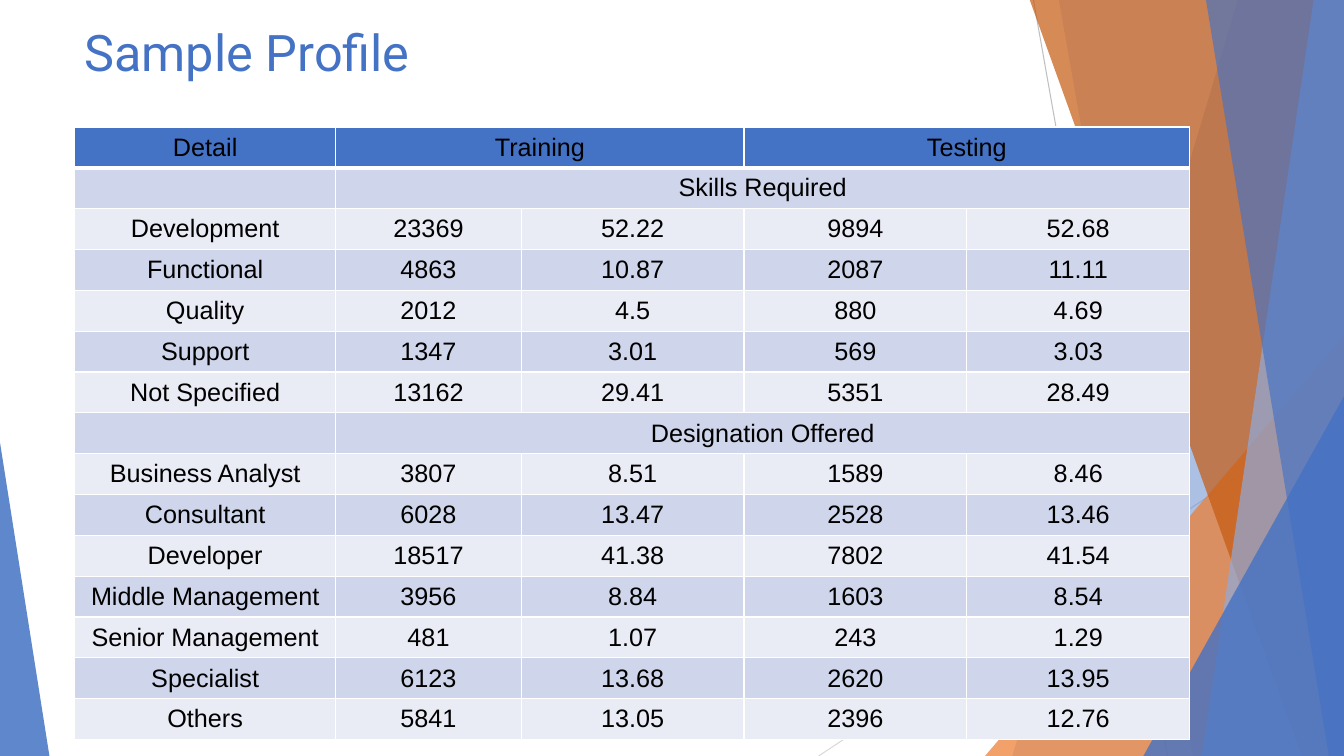
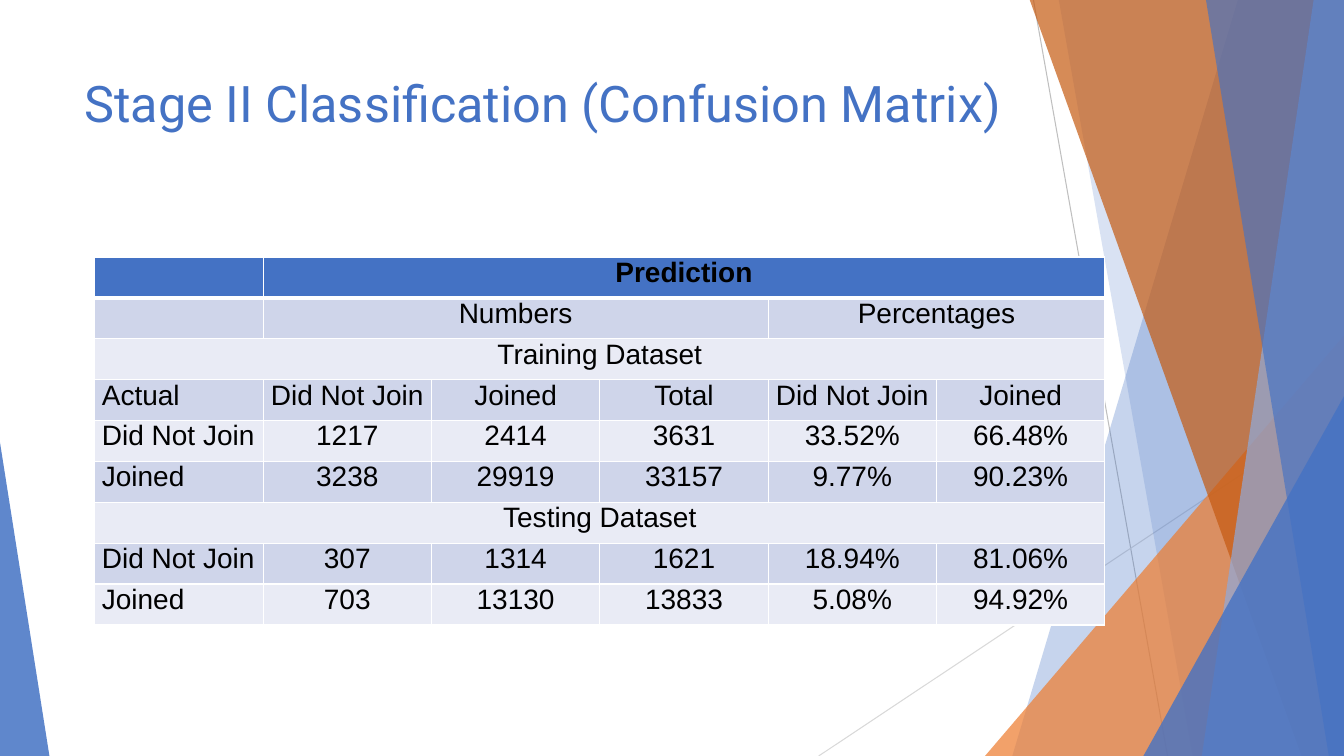
import pptx
import pptx.util
import pptx.dml.color
import pptx.enum.shapes
import pptx.enum.text
import pptx.oxml
import pptx.oxml.ns
import lxml.etree

Inches, Pt = pptx.util.Inches, pptx.util.Pt
RGB = pptx.dml.color.RGBColor.from_string
qn = pptx.oxml.ns.qn
SHAPES = pptx.enum.shapes.MSO_SHAPE
ALIGN = pptx.enum.text.PP_ALIGN
ANCHOR = pptx.enum.text.MSO_ANCHOR

colours = {
    "blue": "4472C4", "light blue": "8FAADC", "orange": "ED7D31", "rust": "C55A11",
    "dark band": "CFD5EA", "light band": "E9EBF5", "white": "FFFFFF", "black": "000000",
    "grey": "BFBFBF", "pale grey": "D9D9D9",
}
WIDTH, HEIGHT = 13.33, 7.5

# Backdrop: thin lines, then translucent facets from back to front
lines = [(10.25, 0, 11.58, HEIGHT, "grey"), (WIDTH, 4.03, 8.12, HEIGHT, "pale grey")]
# band: top x, bottom x; triangle: left, top, width, apex position
facets = [
    ("band", (12.28, 10.04), "blue", 30),
    ("band", (10.5, 11.83), "blue", 20),
    ("triangle", (9.77, 3.33, 3.56, 1), "orange", 72),
    ("band", (10.21, 12.91), "rust", 70),
    ("band", (13.03, 11.92), "light blue", 70),
    ("band", (11.96, 13.18), "blue", 65),
    ("triangle", (11.34, 3.93, 1.99, 1), "blue", 80),
    ("triangle", (0, 4.39, 0.49, 0), "blue", 85),
]

# Slide contents: None continues the cell to its left
profile_rows = [
    ["Detail", "Training", None, "Testing", None],
    ["", "Skills Required", None, None, None],
    ["Development", "23369", "52.22", "9894", "52.68"],
    ["Functional", "4863", "10.87", "2087", "11.11"],
    ["Quality", "2012", "4.5", "880", "4.69"],
    ["Support", "1347", "3.01", "569", "3.03"],
    ["Not Specified", "13162", "29.41", "5351", "28.49"],
    ["", "Designation Offered", None, None, None],
    ["Business Analyst", "3807", "8.51", "1589", "8.46"],
    ["Consultant", "6028", "13.47", "2528", "13.46"],
    ["Developer", "18517", "41.38", "7802", "41.54"],
    ["Middle Management", "3956", "8.84", "1603", "8.54"],
    ["Senior Management", "481", "1.07", "243", "1.29"],
    ["Specialist", "6123", "13.68", "2620", "13.95"],
    ["Others", "5841", "13.05", "2396", "12.76"],
]
matrix_rows = [
    ["", "Prediction", None, None, None, None],
    ["", "Numbers", None, None, "Percentages", None],
    ["Training Dataset", None, None, None, None, None],
    ["Actual", "Did Not Join", "Joined", "Total", "Did Not Join", "Joined"],
    ["Did Not Join", "1217", "2414", "3631", "33.52%", "66.48%"],
    ["Joined", "3238", "29919", "33157", "9.77%", "90.23%"],
    ["Testing Dataset", None, None, None, None, None],
    ["Did Not Join", "307", "1314", "1621", "18.94%", "81.06%"],
    ["Joined", "703", "13130", "13833", "5.08%", "94.92%"],
]
slides = [
    {"title": "Sample Profile", "title_top": 0.16, "title_height": 0.94,
     "rows": profile_rows, "left": 0.74, "top": 1.26, "height": 6.08,
     "columns": [2.59, 1.84, 2.21, 2.21, 2.21], "size": 18, "margin": 0.01,
     "anchor": ANCHOR.MIDDLE, "bold_header": False, "first_column": ALIGN.CENTER},
    {"title": "Stage II Classification (Confusion Matrix)", "title_top": 0.67,
     "title_height": 1.44, "rows": matrix_rows, "left": 0.94, "top": 2.55, "height": 3.65,
     "columns": [1.67] * 6, "size": 20, "margin": 0.07,
     "anchor": ANCHOR.TOP, "bold_header": True, "first_column": ALIGN.LEFT},
]


def draw_backdrop(page):
    for x1, y1, x2, y2, colour in lines:
        line = page.shapes.add_connector(pptx.enum.shapes.MSO_CONNECTOR.STRAIGHT,
                                         Inches(x1), Inches(y1), Inches(x2), Inches(y2))
        line.line.color.rgb = RGB(colours[colour])
        line.line.width = Pt(0.75)
        lxml.etree.SubElement(line.element.spPr, qn("a:effectLst"))
    for kind, geometry, colour, opacity in facets:
        if kind == "band":
            top_x, bottom_x = geometry
            corners = [(WIDTH, -0.01), (WIDTH, HEIGHT), (bottom_x, HEIGHT)]
            outline = page.shapes.build_freeform(Inches(top_x), Inches(-0.01))
            outline.add_line_segments([(Inches(x), Inches(y)) for x, y in corners])
            facet = outline.convert_to_shape()
        else:
            left, top, width, apex = geometry
            facet = page.shapes.add_shape(SHAPES.ISOSCELES_TRIANGLE, Inches(left), Inches(top),
                                          Inches(width), Inches(HEIGHT - top))
            facet.adjustments[0] = apex
        facet.shadow.inherit = False
        facet.line.fill.background()
        facet.fill.solid()
        facet.fill.fore_color.rgb = RGB(colours[colour])
        tint = facet.element.spPr.find(qn("a:solidFill")).find(qn("a:srgbClr"))
        lxml.etree.SubElement(tint, qn("a:alpha"), val=str(opacity * 1000))


def style_cell(cell, row):
    # Borders come before the fill; the header has a thick rule below it
    properties = cell._tc.get_or_add_tcPr()
    for side in ("L", "R", "T", "B"):
        thick = (row, side) in ((0, "B"), (1, "T"))
        border = lxml.etree.SubElement(properties, qn("a:ln" + side),
                                       w=str(Pt(3 if thick else 1)))
        paint = lxml.etree.SubElement(border, qn("a:solidFill"))
        lxml.etree.SubElement(paint, qn("a:srgbClr"), val=colours["white"])
    band = "blue" if row == 0 else "dark band" if row % 2 else "light band"
    cell.fill.solid()
    cell.fill.fore_color.rgb = RGB(colours[band])


deck = pptx.Presentation()
deck.slide_width, deck.slide_height = Inches(WIDTH), Inches(HEIGHT)

for content in slides:
    page = deck.slides.add_slide(deck.slide_layouts[6])
    draw_backdrop(page)

    # Title
    box = page.shapes.add_textbox(Inches(0.74), Inches(content["title_top"]),
                                  Inches(9.4), Inches(content["title_height"]))
    box.text_frame.word_wrap = True
    para = box.text_frame.paragraphs[0]
    para.text = content["title"]
    para.font.name, para.font.size = "Roboto", Pt(36)
    para.font.color.rgb = RGB(colours["blue"])

    # Table
    rows, columns = content["rows"], content["columns"]
    table = page.shapes.add_table(len(rows), len(columns), Inches(content["left"]),
                                  Inches(content["top"]), Inches(sum(columns)),
                                  Inches(content["height"])).table
    table.first_row = table.horz_banding = False
    for column, width in zip(table.columns, columns):
        column.width = Inches(width)
    for row, texts in enumerate(rows):
        table.rows[row].height = Inches(content["height"] / len(rows))
        for column, text in enumerate(texts):
            cell = table.cell(row, column)
            style_cell(cell, row)
            cell.margin_left = cell.margin_right = Inches(content["margin"])
            cell.margin_top = cell.margin_bottom = 0
            cell.vertical_anchor = content["anchor"]
            if not text:
                continue
            end = column + 1
            while end < len(texts) and texts[end] is None:
                end += 1
            if end > column + 1:
                cell.merge(table.cell(row, end - 1))
            para = cell.text_frame.paragraphs[0]
            para.text = text
            single = end == column + 1
            para.alignment = content["first_column"] if column == 0 and single else ALIGN.CENTER
            para.font.name, para.font.size = "Arial", Pt(content["size"])
            para.font.bold = content["bold_header"] and row == 0
            para.font.color.rgb = RGB(colours["black"])

deck.save("out.pptx")
